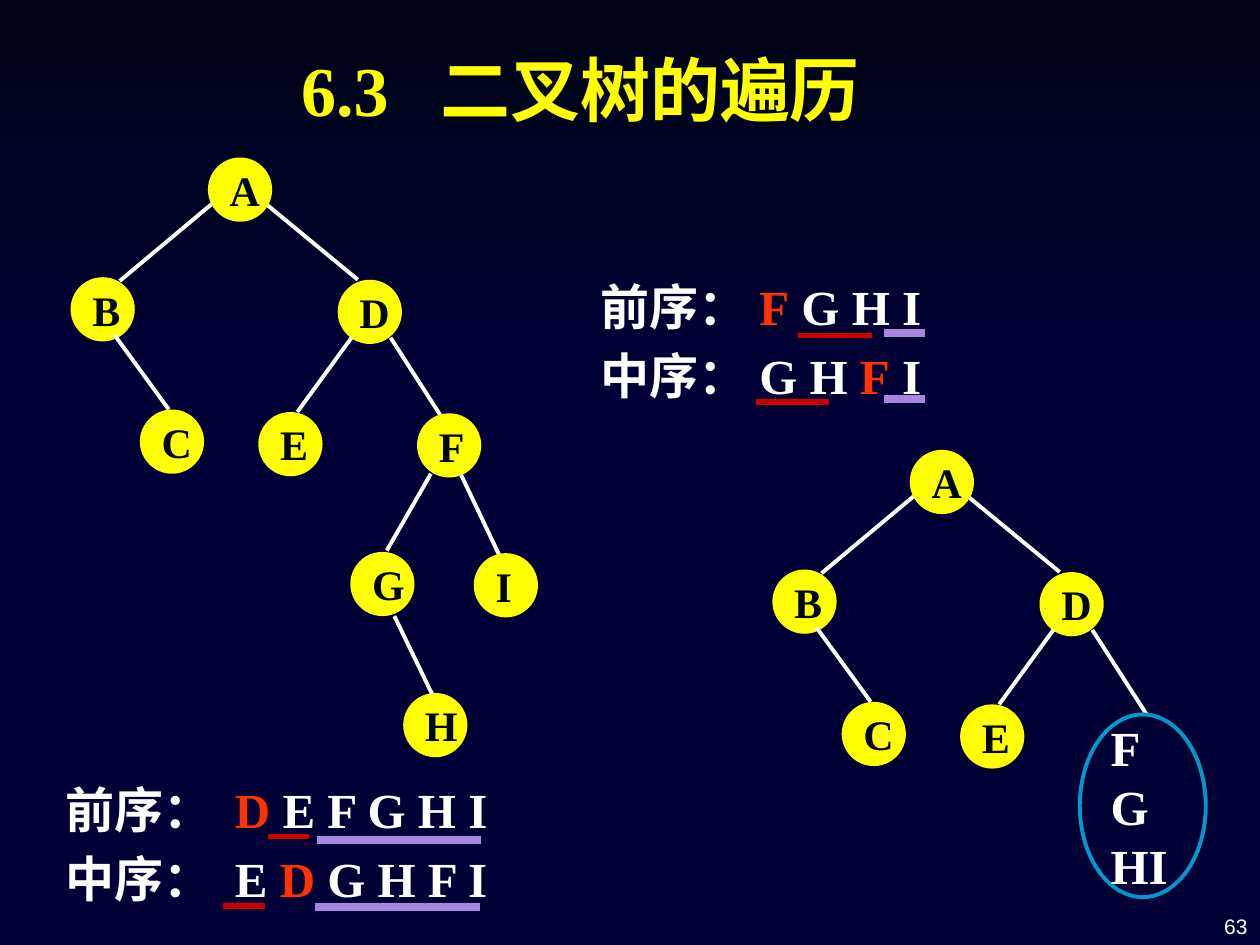
from dataclasses import dataclass

from lxml.etree import SubElement
from pptx import Presentation
from pptx.dml.color import RGBColor
from pptx.enum.shapes import MSO_CONNECTOR, MSO_SHAPE
from pptx.enum.text import MSO_ANCHOR, MSO_AUTO_SIZE, PP_ALIGN
from pptx.oxml.ns import qn
from pptx.util import Inches, Pt

NAVY = RGBColor(0x00, 0x00, 0x36)
DARK_NAVY = RGBColor(0x00, 0x00, 0x32)
INK = RGBColor(0x00, 0x05, 0x14)
WHITE = RGBColor(0xFF, 0xFF, 0xFF)
YELLOW = RGBColor(0xFF, 0xFF, 0x00)
ORANGE = RGBColor(0xFF, 0x33, 0x00)
RED = RGBColor(0xCC, 0x00, 0x00)
LILAC = RGBColor(0xA8, 0x86, 0xE0)
BLUE = RGBColor(0x00, 0x99, 0xCC)
LATIN = "Times New Roman"
HAN = "Noto Sans CJK SC"
NODE_SIZE = 0.51


@dataclass(frozen=True)
class Span:
    text: str
    color: RGBColor = WHITE
    font: str = LATIN
    tracking: int = 0  # extra points after each character


@dataclass(frozen=True)
class Node:
    letter: str
    left: float
    top: float


@dataclass(frozen=True)
class Stroke:
    x1: float
    y1: float
    x2: float
    y2: float
    color: RGBColor = WHITE
    width: float = 2.25


@dataclass(frozen=True)
class Ribbon:
    outline: list[tuple[float, float]]
    color: RGBColor = DARK_NAVY


# Parts in drawing order; the shared subtree is measured from the first tree
SHARED_TREE = [Stroke(1.68, 1.62, 0.95, 2.23), Stroke(2.1, 1.61, 2.84, 2.22),
               Node("A", 1.65, 1.25), Node("B", 0.56, 2.2), Node("C", 1.11, 3.25),
               Stroke(0.91, 2.66, 1.34, 3.25), Node("D", 2.68, 2.22),
               Node("E", 2.05, 3.27), Stroke(2.79, 2.68, 2.36, 3.27),
               Stroke(3.1, 2.68, 3.53, 3.35)]
LOWER_TREE = [Node("F", 3.31, 3.28), Stroke(3.66, 3.77, 3.96, 4.4), Node("I", 3.76, 4.39),
              Node("G", 2.78, 4.38), Node("H", 3.2, 5.5),
              Stroke(3.42, 3.76, 3.07, 4.37), Stroke(3.13, 4.89, 3.43, 5.51)]
SECOND_TREE_SHIFT = (5.57, 2.32)

UNDERLINES = [Stroke(6.33, 2.66, 6.92, 2.66, RED, 3), Stroke(6, 3.19, 6.58, 3.19, RED, 3),
              Stroke(7.02, 2.64, 7.34, 2.64, LILAC, 4.5),
              Stroke(7.02, 3.17, 7.34, 3.17, LILAC, 4.5),
              Stroke(2.13, 6.64, 2.45, 6.64, RED, 3), Stroke(1.77, 7.19, 2.1, 7.19, RED, 3),
              Stroke(2.52, 6.67, 3.82, 6.67, LILAC, 4.5),
              Stroke(2.5, 7.2, 3.81, 7.2, LILAC, 4.5)]

RIBBONS = [
    Ribbon([(5.75, 4.59), (5.7, 4.72), (6.02, 4.95), (6.79, 5.19), (7.52, 5.43),
            (7.85, 5.62), (7.74, 5.83), (7.14, 6.05), (5.79, 6.39), (4.58, 6.74),
            (3.76, 7.07), (3, 7.49), (3.61, 7.49), (4.66, 7), (5.94, 6.56), (7.4, 6.18),
            (7.91, 5.97), (8, 5.81), (7.81, 5.53), (7.15, 5.28), (6.26, 5.02), (5.83, 4.77)]),
    Ribbon([(9.43, 5.7), (9.3, 5.53), (8.88, 5.35), (7.92, 5.09), (7.45, 4.9), (7.24, 4.64),
            (7.33, 4.88), (7.66, 5.12), (8.38, 5.36), (8.92, 5.53), (9.18, 5.81),
            (8.94, 6.05), (9.32, 5.89)]),
    Ribbon([(5.03, 7.49), (5.71, 7.49), (6.49, 7.1), (7.52, 6.72), (8.61, 6.4), (9.98, 6.09),
            (9.98, 5.81), (9.36, 6.02), (7.64, 6.47), (6.3, 6.93), (5.43, 7.33)]),
    Ribbon([(7.25, 4.64), (7.45, 4.9), (7.93, 5.09), (8.89, 5.35), (9.31, 5.53), (9.43, 5.7),
            (9.31, 5.9), (8.81, 6.08), (7.43, 6.43), (6.19, 6.84), (4.77, 7.49),
            (5.19, 7.47), (6.3, 6.93), (7.65, 6.47), (9.36, 6.02), (9.99, 5.81),
            (9.99, 5.38), (9.04, 5.19), (8.17, 4.92), (7.81, 4.63), (8.11, 4.37),
            (8.65, 4.24), (9.99, 4.02), (9.99, 3.87), (9.2, 4.01), (7.88, 4.22),
            (7.42, 4.39)], NAVY),
    Ribbon([(7.81, 4.6), (7.91, 4.78), (8.26, 4.96), (8.05, 4.72), (8.28, 4.53),
            (8.78, 4.39), (9.98, 4.2), (9.98, 4.02), (8.65, 4.24), (8.1, 4.37)]),
    Ribbon([(7.62, 2.33), (8.46, 2.79), (8.82, 3.13), (8.86, 3.48), (8.42, 3.78),
            (7.33, 4.04), (6.25, 4.26), (5.77, 4.62), (5.84, 4.79), (6.22, 5), (5.94, 4.75),
            (6.14, 4.48), (6.83, 4.3), (7.86, 4.12), (8.67, 3.84), (8.94, 3.44),
            (8.64, 2.91), (7.99, 2.5)]),
]


def write_text(frame, paragraphs: list[list[Span]], *, size: float, bold: bool = True,
               align=PP_ALIGN.LEFT, anchor=MSO_ANCHOR.TOP, line_height=None,
               space_before: float = 0) -> None:
    frame.word_wrap = True
    frame.auto_size = MSO_AUTO_SIZE.NONE
    frame.vertical_anchor = anchor
    for index, spans in enumerate(paragraphs):
        paragraph = frame.add_paragraph() if index else frame.paragraphs[0]
        paragraph.alignment = align
        paragraph.space_before = Pt(space_before if index else 0)
        if line_height:
            paragraph.line_spacing = Pt(line_height)
        for span in spans:
            run = paragraph.add_run()
            run.text = span.text
            run.font.name, run.font.size, run.font.bold = span.font, Pt(size), bold
            run.font.color.rgb = span.color
            properties = run.font._element
            SubElement(properties, qn("a:ea")).set("typeface", HAN)
            if span.tracking:
                properties.set("spc", str(span.tracking * 100))


def add_text_box(slide, left: float, top: float, width: float, height: float,
                 paragraphs: list[list[Span]], **text_format) -> None:
    box = slide.shapes.add_textbox(Inches(left), Inches(top), Inches(width), Inches(height))
    write_text(box.text_frame, paragraphs, **text_format)


def add_stroke(slide, stroke: Stroke, dx: float = 0, dy: float = 0) -> None:
    connector = slide.shapes.add_connector(
        MSO_CONNECTOR.STRAIGHT, Inches(stroke.x1 + dx), Inches(stroke.y1 + dy),
        Inches(stroke.x2 + dx), Inches(stroke.y2 + dy))
    connector.line.color.rgb = stroke.color
    connector.line.width = Pt(stroke.width)
    SubElement(connector._element.spPr, qn("a:effectLst"))


def add_oval(slide, left: float, top: float, width: float, height: float):
    oval = slide.shapes.add_shape(MSO_SHAPE.OVAL, Inches(left), Inches(top),
                                  Inches(width), Inches(height))
    oval.shadow.inherit = False
    return oval


def paint(shape, color: RGBColor) -> None:
    shape.fill.solid()
    shape.fill.fore_color.rgb = color
    shape.line.fill.background()


def add_tree(slide, parts: list[Node | Stroke], dx: float = 0, dy: float = 0) -> None:
    for part in parts:
        if isinstance(part, Stroke):
            add_stroke(slide, part, dx, dy)
            continue
        circle = add_oval(slide, part.left + dx, part.top + dy, NODE_SIZE, NODE_SIZE)
        paint(circle, YELLOW)
        write_text(circle.text_frame, [[Span(part.letter, INK)]], size=24,
                   anchor=MSO_ANCHOR.MIDDLE)


def add_backdrop(slide) -> None:
    slide.background.fill.solid()
    slide.background.fill.fore_color.rgb = NAVY
    for ribbon in RIBBONS:
        builder = slide.shapes.build_freeform(*ribbon.outline[0], scale=Inches(1))
        builder.add_line_segments(ribbon.outline[1:], close=True)
        band = builder.convert_to_shape()
        band.shadow.inherit = False
        paint(band, ribbon.color)
    sky = slide.shapes.add_shape(MSO_SHAPE.RECTANGLE, 0, 0, Inches(10), Inches(3.08))
    sky.shadow.inherit = False
    sky.line.fill.background()
    sky.fill.gradient()
    sky.fill.gradient_angle = 270
    for stop, color in zip(sky.fill.gradient_stops, (INK, NAVY)):
        stop.color.rgb = color


def add_title(slide) -> None:
    """Format the title placeholder and bring it in front of the backdrop."""
    title = slide.shapes.title
    title.left, title.top = Inches(2.29), Inches(0.32)
    title.width, title.height = Inches(6.38), Inches(0.77)
    write_text(title.text_frame,
               [[Span("6.3", YELLOW), Span(" ", YELLOW, tracking=10),
                 Span("二叉树的遍历", YELLOW)]],
               size=40, align=PP_ALIGN.JUSTIFY, line_height=48)
    slide.shapes._spTree.append(title._element)


def main() -> None:
    prs = Presentation()
    prs.slide_width, prs.slide_height = Inches(10), Inches(7.5)
    slide = prs.slides.add_slide(prs.slide_layouts[5])
    add_backdrop(slide)
    add_title(slide)

    orders = {"size": 28, "line_height": 33.5, "space_before": 5.6}
    add_text_box(slide, 4.67, 2.15, 4.75, 1.13, [
        [Span("前序：", font=HAN), Span("F", ORANGE), Span(" G H I")],
        [Span("中序：", font=HAN), Span("G H "), Span("F", ORANGE), Span(" I")],
    ], **orders)
    add_text_box(slide, 0.42, 6.14, 4.75, 1.13, [
        [Span("前序： "), Span("D", ORANGE), Span(" E F G H I")],
        [Span("中序： E "), Span("D", ORANGE), Span(" G H F I")],
    ], **orders)
    for underline in UNDERLINES:
        add_stroke(slide, underline)

    add_tree(slide, SHARED_TREE + LOWER_TREE)
    add_tree(slide, SHARED_TREE, *SECOND_TREE_SHIFT)
    remainder = add_oval(slide, 8.57, 5.67, 1, 1.45)
    remainder.fill.background()
    remainder.line.color.rgb = BLUE
    remainder.line.width = Pt(2.25)
    write_text(remainder.text_frame, [[Span("FG")], [Span("HI")]], size=28,
               anchor=MSO_ANCHOR.MIDDLE)

    add_text_box(slide, 7.67, 6.98, 2.33, 0.52, [[Span("63", font="Arial")]], size=12,
                 bold=False, align=PP_ALIGN.RIGHT, anchor=MSO_ANCHOR.BOTTOM)
    prs.save("out.pptx")


if __name__ == "__main__":
    main()
